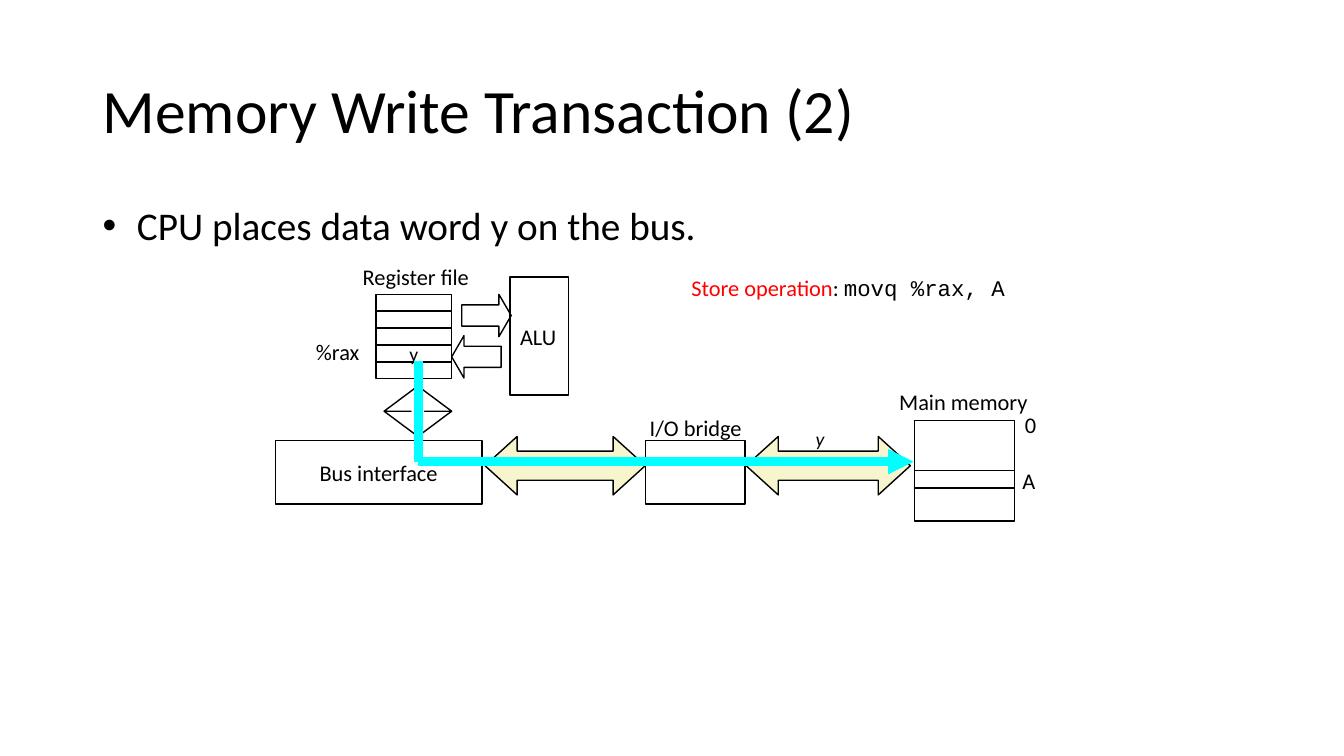
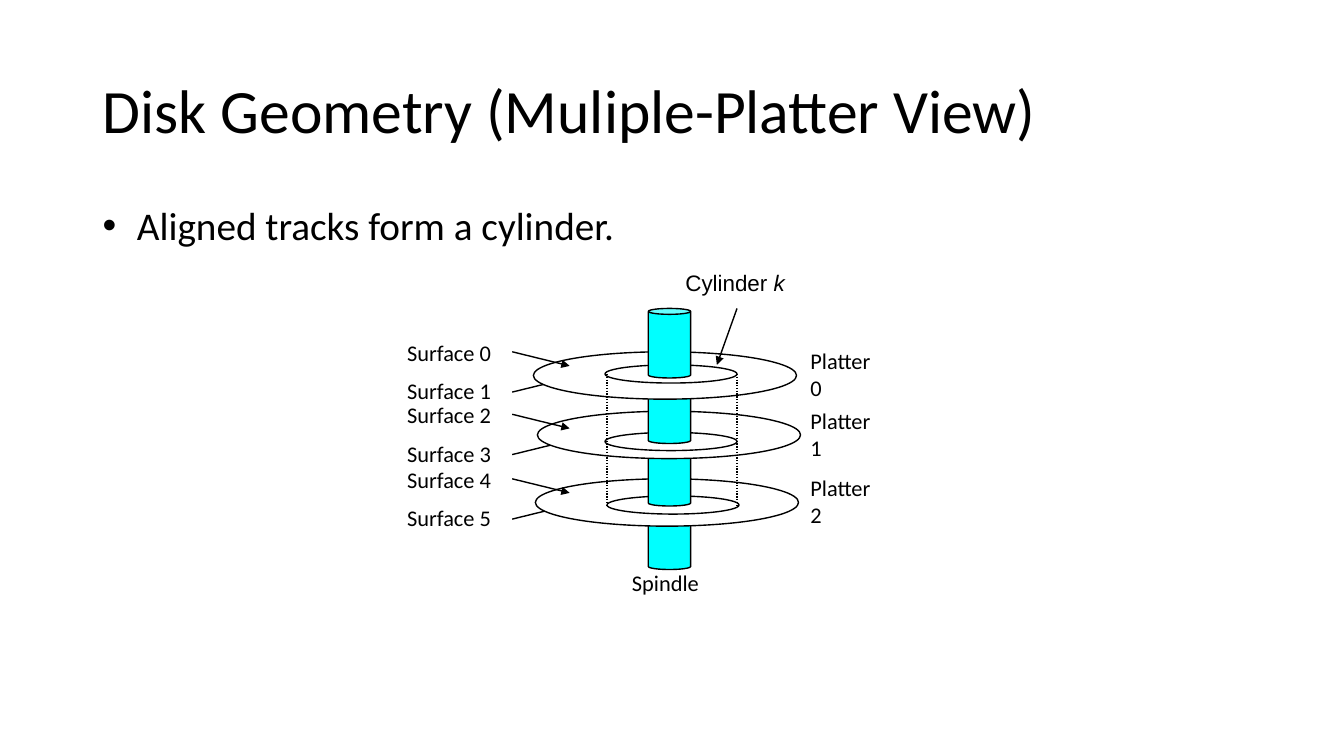
from dataclasses import dataclass

from lxml.etree import SubElement
from pptx import Presentation
from pptx.dml.color import RGBColor
from pptx.enum.dml import MSO_LINE
from pptx.enum.shapes import MSO_CONNECTOR, MSO_SHAPE
from pptx.enum.text import MSO_ANCHOR, MSO_AUTO_SIZE, PP_ALIGN
from pptx.oxml.ns import qn
from pptx.util import Inches, Pt


@dataclass(frozen=True)
class Theme:
    black: str = "000000"
    white: str = "FFFFFF"
    red: str = "FF0000"
    cyan: str = "00FFFF"
    bus: str = "F7F5CD"
    font: str = "Calibri"
    sans: str = "Arial"
    code: str = "Courier New"
    title: int = 44
    body: int = 28
    label: int = 16
    small: int = 14
    thin: int = 1
    thick: int = 6


T = Theme()


def box(s, at, *runs, kind=None, fill=None, adj=(), size=T.label,
        align=PP_ALIGN.LEFT, anchor=MSO_ANCHOR.MIDDLE, wrap=False, grow=True):
    """Add a text box, or an outlined shape when kind is given.

    A run is a string or a (string, font options) pair.
    """
    at = [Inches(v) for v in at]
    if kind is None:
        sp = s.shapes.add_textbox(*at)
    else:
        sp = s.shapes.add_shape(kind, *at)
        sp.shadow.inherit = False
        sp.line.color.rgb = RGBColor.from_string(T.black)
        sp.line.width = Pt(T.thin)
        if fill:
            sp.fill.solid()
            sp.fill.fore_color.rgb = RGBColor.from_string(fill)
        else:
            sp.fill.background()
        for i, value in enumerate(adj):
            sp.adjustments[i] = value
    if not runs:
        return sp
    tf = sp.text_frame
    tf.word_wrap = wrap
    tf.vertical_anchor = anchor
    if kind is None and grow:
        tf.auto_size = MSO_AUTO_SIZE.SHAPE_TO_FIT_TEXT
    p = tf.paragraphs[0]
    p.alignment = align
    for run in runs:
        text, look = (run, {}) if isinstance(run, str) else run
        r = p.add_run()
        r.text = text
        r.font.size = Pt(size)
        r.font.name = look.get("font", T.font)
        r.font.color.rgb = RGBColor.from_string(look.get("color", T.black))
        if look.get("italic"):
            r.font.italic = True
    return sp


def line(s, x1, y1, x2, y2, color=T.black, width=T.thin, arrow=False, dash=None):
    c = s.shapes.add_connector(MSO_CONNECTOR.STRAIGHT, Inches(x1), Inches(y1),
                               Inches(x2), Inches(y2))
    c.line.color.rgb = RGBColor.from_string(color)
    c.line.width = Pt(width)
    if dash:
        c.line.dash_style = dash
    spPr = c._element.spPr
    if arrow:
        SubElement(spPr.find(qn("a:ln")), qn("a:tailEnd"), type="triangle")
    SubElement(spPr, qn("a:effectLst"))


prs = Presentation()
prs.slide_width, prs.slide_height = Inches(13.33), Inches(7.5)

# Titles and bullets
slides = []
for title, bullet in [
    ("Memory Write Transaction (2)", "CPU places data word y on the bus."),
    ("Disk Geometry (Muliple-Platter View)", "Aligned tracks form a cylinder."),
]:
    s = prs.slides.add_slide(prs.slide_layouts[6])
    head = box(s, (0.92, 0.4, 11.5, 1.45), title, size=T.title, wrap=True, grow=False)
    body = box(s, (0.92, 2, 11.5, 4.76), bullet, size=T.body, wrap=True, grow=False,
               anchor=MSO_ANCHOR.TOP)
    for sp in (head, body):
        sp.text_frame.paragraphs[0].line_spacing = 0.9
    pPr = body.text_frame.paragraphs[0]._p.get_or_add_pPr()
    pPr.set("marL", str(Inches(0.34)))
    pPr.set("indent", str(-Inches(0.34)))
    SubElement(pPr, qn("a:buFont"), typeface=T.sans)
    SubElement(pPr, qn("a:buChar"), char="•")
    slides.append(s)

# Slide 1: memory, I/O bridge and buses
s = slides[0]
RECT, CENTER = MSO_SHAPE.RECTANGLE, PP_ALIGN.CENTER
box(s, (9.07, 4.17, 0.99, 1), kind=RECT)
box(s, (6.4, 4.37, 0.99, 0.63), kind=RECT)
for x, w in [(7.4, 1.63), (4.81, 1.59)]:
    box(s, (x, 4.33, w, 0.58), kind=MSO_SHAPE.LEFT_RIGHT_ARROW, fill=T.bus,
        adj=(0.5, 0.55))

# Register file and ALU
for i in range(5):
    value = ["y"] if i == 3 else []
    box(s, (3.73, 2.92 + i / 6, 0.75, 0.17), *value, kind=RECT, size=T.small,
        align=CENTER)
for kind, x, y in [(MSO_SHAPE.RIGHT_ARROW, 4.58, 2.92), (MSO_SHAPE.LEFT_ARROW, 4.48, 3.33)]:
    box(s, (x, y, 0.49, 0.42), kind=kind, adj=(0.5, 0.29))
box(s, (5.06, 2.75, 0.58, 1.17), "ALU", kind=RECT)

# Bus interface
box(s, (3.81, 3.83, 0.67, 0.5), kind=MSO_SHAPE.UP_DOWN_ARROW, adj=(0.5, 0.2))
box(s, (2.73, 4.37, 2.05, 0.63), "Bus interface", kind=RECT, fill=T.white, align=CENTER)
box(s, (7.99, 4.18, 0.29, 0.34), ("y", {"italic": True}), size=T.small)

# Data path from register to memory
line(s, 4.15, 3.58, 4.15, 4.58, T.cyan, T.thick)
line(s, 4.15, 4.58, 9.06, 4.58, T.cyan, T.thick, arrow=True)
box(s, (9.07, 4.67, 0.99, 0.17), kind=RECT)

# Labels
for text, x, y, w in [
    ("Register file", 3.49, 2.56, 1.27), ("Main memory", 8.81, 3.8, 1.49),
    ("0", 10.06, 4.03, 0.32), ("A", 10.04, 4.58, 0.33),
    ("%rax", 3.03, 3.3, 0.64), ("I/O bridge", 6.34, 4.06, 1.12),
]:
    box(s, (x, y, w, 0.37), text, align=CENTER)
box(s, (6.76, 2.67, 3.36, 0.64), ("Store operation", {"color": T.red}), ": ",
    ("movq %rax, A", {"font": T.code}), anchor=MSO_ANCHOR.TOP)

# Slide 2: disk left and top, track left and top, spindle top, pointer top
s = slides[1]
platters = [
    (5.29, 3.49, 6.0, 3.62, 3.71, 3.49),
    (5.33, 4.08, 6.0, 4.29, 4.33, 4.11),
    (5.31, 4.75, 6.02, 4.92, 4.96, 4.75),
]
SPINDLE = dict(kind=MSO_SHAPE.CAN, fill=T.cyan, adj=(0.14,))

# Pointers to the lower surfaces, partly hidden by the platters
for *_, y in platters:
    line(s, 5.08, y + 0.4, 5.65, y + 0.26, arrow=True)

# Platters and spindle, from the bottom up
for disk_x, disk_y, track_x, track_y, spindle_y, _ in reversed(platters):
    box(s, (6.43, spindle_y, 0.42, 0.69), **SPINDLE)
    box(s, (disk_x, disk_y, 2.61, 0.47), kind=MSO_SHAPE.OVAL, fill=T.white)
    box(s, (track_x, track_y, 1.31, 0.18), kind=MSO_SHAPE.OVAL)
box(s, (6.43, 3.06, 0.42, 0.69), **SPINDLE)

# Upper pointers, surface and platter labels
for i, (_, disk_y, _, _, _, y) in enumerate(platters):
    line(s, 5.08, y, 5.65, y + 0.14, arrow=True)
    for side in range(2):
        box(s, (3.94, y - 0.18 + 0.38 * side, 1.03, 0.37), f"Surface {2 * i + side}")
    box(s, (7.94, disk_y + 0.04, 0.93, 0.37), f"Platter {i}", wrap=True)

# Cylinder and spindle labels
for x in (6.02, 7.31):
    line(s, x, 3.71, x, 5.02, dash=MSO_LINE.ROUND_DOT)
box(s, (6.7, 2.62, 1.3, 0.37), ("Cylinder ", {"font": T.sans}),
    ("k", {"font": T.sans, "italic": True}))
line(s, 7.31, 3.06, 7.11, 3.62, arrow=True)
box(s, (6.17, 5.59, 0.87, 0.37), "Spindle")

prs.save("out.pptx")
